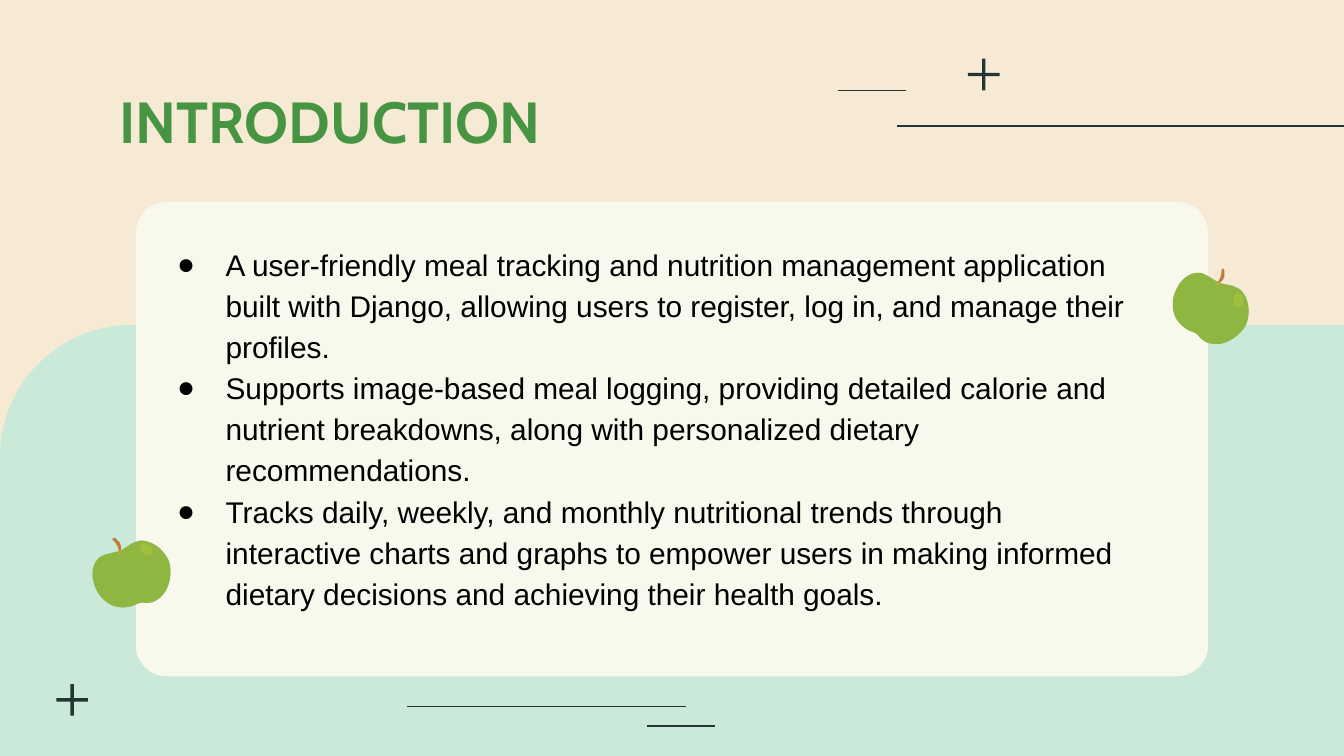
from math import cos, radians, sin
from lxml.etree import Element, SubElement
from pptx import Presentation
from pptx.dml.color import RGBColor
from pptx.enum.shapes import MSO_CONNECTOR, MSO_SHAPE
from pptx.enum.text import MSO_ANCHOR
from pptx.oxml.ns import qn
from pptx.util import Pt

INK = {
    "sand": "F6EAD4", "mint": "CAE9D9", "cream": "F8F8EC", "dark": "233634",
    "green": "479442", "brown": "BD7B36", "gold": "FAEA3F", "black": "000000",
}

# Apple outlines in hundredths of an inch: a start, then cubic curves
UNIT = 0.72
CORE = (29, 29.5)
BODY = ((19, 3), [
    (13, 3, 7, 8, 4, 14), (1, 19, 0, 25, 1, 31), (2, 37, 6, 42, 11, 45),
    (14, 47, 17, 47, 19, 49), (21, 51, 21, 52, 23, 53),
    (25, 55, 29, 56, 32, 56), (33, 56, 34, 56, 35, 56),
    (43, 55, 51, 49, 55, 42), (58, 35, 58, 25, 53, 18),
    (52, 16, 50, 15, 48, 14), (45, 12, 40, 12, 37, 11),
    (31, 9, 26, 4, 21, 3), (20, 3, 20, 3, 19, 3)])
STEM = ((37, 0), [
    (37, 0, 37, 0, 37, 0), (37, 5, 36, 9, 32, 12), (33, 12, 32, 12, 33, 12),
    (35, 11, 38, 9, 39, 6), (39, 4, 39, 2, 39, 1), (39, 0, 38, 0, 37, 0)])
SHINE = ((49, 18), [
    (49, 18, 49, 18, 49, 18), (47, 19, 45, 21, 46, 24),
    (46, 27, 48, 29, 50, 29), (50, 29, 50, 29, 50, 29),
    (52, 28, 54, 26, 53, 23), (53, 20, 51, 18, 49, 18)])
LAYERS = [(BODY, "green", 100), (STEM, "brown", 100),
          (BODY, "gold", 40), (SHINE, "gold", 18)]

POINTS = [
    "A user-friendly meal tracking and nutrition management application "
    "built with Django, allowing users to register, log in, and manage "
    "their profiles.",
    "Supports image-based meal logging, providing detailed calorie and "
    "nutrient breakdowns, along with personalized dietary recommendations.",
    "Tracks daily, weekly, and monthly nutritional trends through "
    "interactive charts and graphs to empower users in making informed "
    "dietary decisions and achieving their health goals.",
]


def color(name):
    return RGBColor.from_string(INK[name])


def paint(shape, name, alpha=100):
    """Fill a shape, with alpha in percent, and drop its line and shadow."""
    shape.fill.solid()
    shape.fill.fore_color.rgb = color(name)
    shape.line.fill.background()
    shape.shadow.inherit = False
    if alpha < 100:
        tint = shape.element.spPr.find(qn("a:solidFill"))[0]
        SubElement(tint, qn("a:alpha"), val=str(alpha * 1000))


def add_box(slide, kind, x, y, w, h, fill, adj=None):
    box = slide.shapes.add_shape(kind, Pt(x), Pt(y), Pt(w), Pt(h))
    if adj is not None:
        box.adjustments[0] = adj
    paint(box, fill)
    return box


def add_line(slide, x1, x2, y):
    line = slide.shapes.add_connector(
        MSO_CONNECTOR.STRAIGHT, Pt(x1), Pt(y), Pt(x2), Pt(y))
    line.line.color.rgb = color("dark")
    line.line.width = Pt(0.75)
    SubElement(line.element.spPr, qn("a:effectLst"))


def add_plus(slide, x, y, size=17, thick=1.8):
    gap = (size - thick) / 2
    add_box(slide, MSO_SHAPE.RECTANGLE, x, y + gap, size, thick, "dark")
    add_box(slide, MSO_SHAPE.RECTANGLE, x + gap, y, thick, size, "dark")


def add_curve(slide, x, y, start, curves):
    """Build a closed outline whose segments are cubic curves."""
    pairs = [start] + [c[i:i + 2] for c in curves for i in (0, 2, 4)]
    dots = [(Pt(x + a * UNIT), Pt(y + b * UNIT)) for a, b in pairs]
    pen = slide.shapes.build_freeform(*dots[0])
    pen.add_line_segments(dots[1:], close=True)
    form = pen.convert_to_shape()
    legs = list(form.element.iter(qn("a:lnTo")))
    for n in range(0, len(curves) * 3, 3):
        bend = Element(qn("a:cubicBezTo"))
        legs[n].addprevious(bend)
        for leg in legs[n:n + 3]:
            bend.append(leg[0])
            leg.getparent().remove(leg)
    return form


def add_apple(slide, x, y, turn=0):
    """Draw an apple whose parts turn about the centre of its body."""
    mid_x, mid_y = Pt(x + CORE[0] * UNIT), Pt(y + CORE[1] * UNIT)
    c, s = cos(radians(turn)), sin(radians(turn))
    for (start, curves), fill, alpha in LAYERS:
        form = add_curve(slide, x, y, start, curves)
        paint(form, fill, alpha)
        dx = form.left + form.width / 2 - mid_x
        dy = form.top + form.height / 2 - mid_y
        form.left = round(mid_x + dx * c - dy * s - form.width / 2)
        form.top = round(mid_y + dx * s + dy * c - form.height / 2)
        form.rotation = turn


def add_bullet(para):
    props = para._p.get_or_add_pPr()
    props.set("marL", str(Pt(36)))
    props.set("indent", str(-Pt(26)))
    tint = SubElement(props, qn("a:buClr"))
    SubElement(tint, qn("a:srgbClr"), val=INK["black"])
    SubElement(props, qn("a:buFont"), typeface="Arial")
    SubElement(props, qn("a:buChar"), char="●")


def add_text(slide, lines, x, y, w, h, font="Arial", size=16, fill="black",
             bold=False, anchor=MSO_ANCHOR.TOP, bullet=False,
             space=1.0, before=0):
    frame = slide.shapes.add_textbox(Pt(x), Pt(y), Pt(w), Pt(h)).text_frame
    frame.word_wrap = True
    frame.vertical_anchor = anchor
    frame.margin_left = frame.margin_right = Pt(7.2)
    frame.margin_top = frame.margin_bottom = Pt(7.2)
    for n, line in enumerate(lines):
        para = frame.add_paragraph() if n else frame.paragraphs[0]
        para.line_spacing = space
        para.space_before = Pt(0 if n else before)
        if bullet:
            add_bullet(para)
        run = para.add_run()
        run.text = line
        run.font.name, run.font.size = font, Pt(size)
        run.font.bold = bold
        run.font.color.rgb = color(fill)


def main():
    deck = Presentation()
    deck.slide_width, deck.slide_height = Pt(720), Pt(405)
    slide = deck.slides.add_slide(deck.slide_layouts[6])
    slide.background.fill.solid()
    slide.background.fill.fore_color.rgb = color("sand")

    hill = add_box(slide, MSO_SHAPE.ROUND_1_RECTANGLE,
                   0, 174, 720, 231, "mint", 0.307)
    hill.element.spPr.find(qn("a:xfrm")).set("flipH", "1")
    add_box(slide, MSO_SHAPE.ROUNDED_RECTANGLE,
            72.8, 108.2, 574.4, 254.2, "cream", 0.066)

    for x1, x2, y in [(367.5, 218, 378.5), (383, 346.8, 388.9),
                      (485.3, 449, 48.5), (720, 480.7, 67.5)]:
        add_line(slide, x1, x2, y)
    add_plus(slide, 30.2, 366.5)
    add_plus(slide, 518.5, 31.5)

    add_text(slide, ["INTRODUCTION"], 57, 42, 607, 44.6, font="Cabin",
             size=31, fill="green", bold=True, anchor=MSO_ANCHOR.MIDDLE)
    add_apple(slide, 627.84, 144)
    add_apple(slide, 50.2, 286.6, turn=315)
    add_text(slide, POINTS, 77.8, 121.9, 535, 221.8, bullet=True,
             space=1.15, before=12)
    deck.save("out.pptx")


if __name__ == "__main__":
    main()
